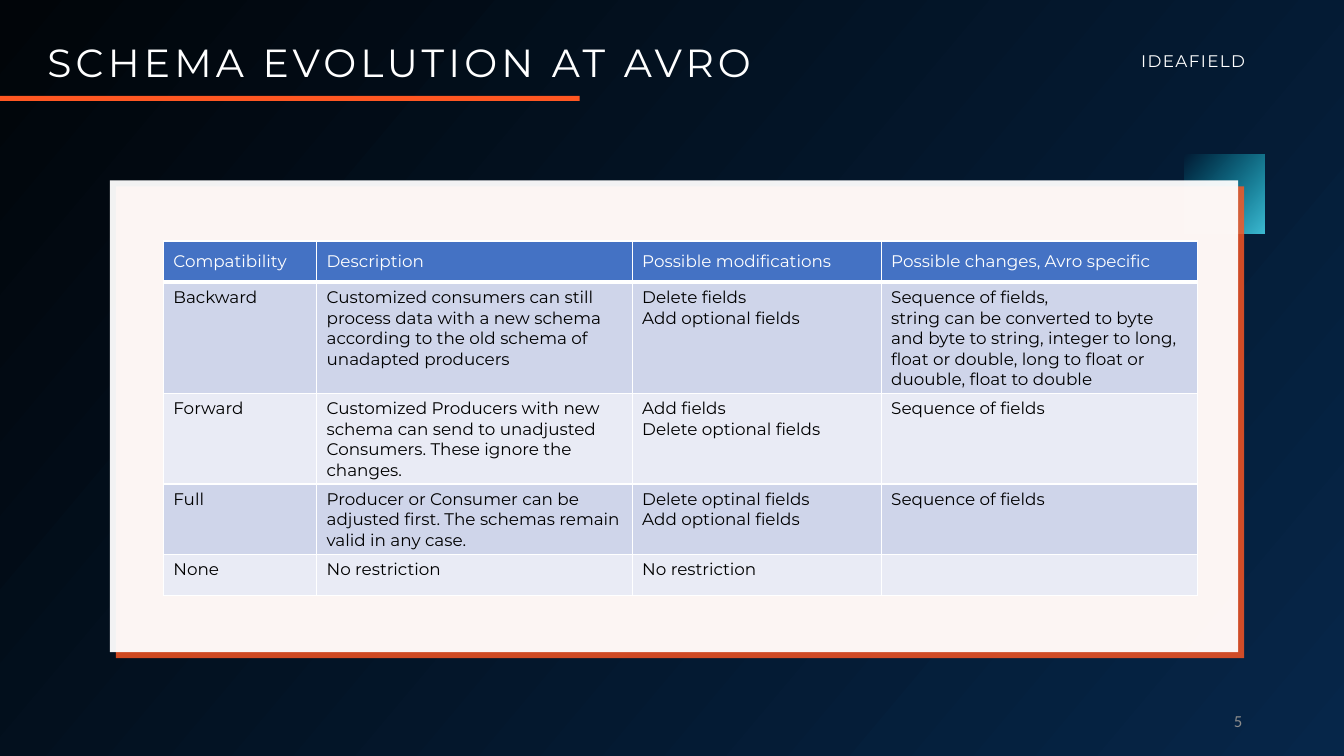
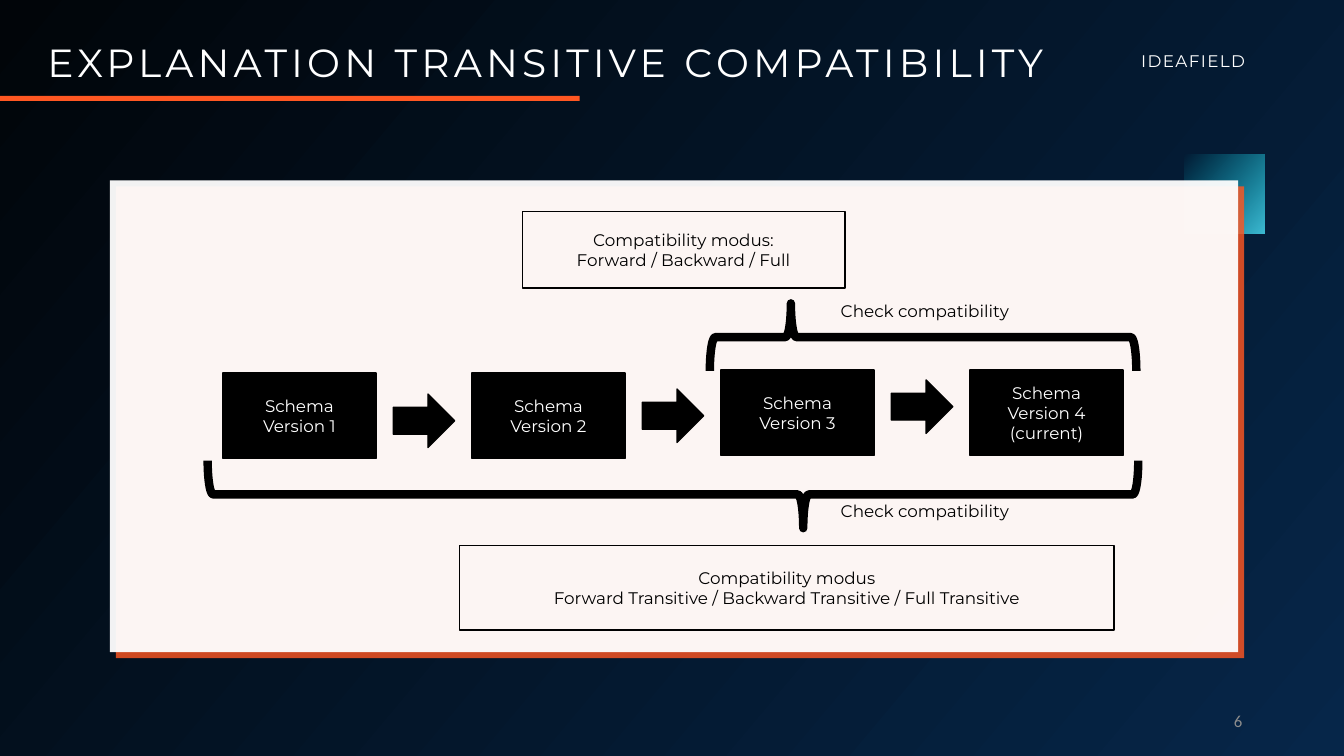
import lxml.etree
import pptx
import pptx.dml.color
import pptx.enum.shapes
import pptx.enum.text
import pptx.oxml.ns
import pptx.util

Inches = pptx.util.Inches
Pt = pptx.util.Pt
qn = pptx.oxml.ns.qn
SHAPE = pptx.enum.shapes.MSO_SHAPE
ALIGN = pptx.enum.text.PP_ALIGN
ANCHOR = pptx.enum.text.MSO_ANCHOR


def rgb(color):
    return pptx.dml.color.RGBColor.from_string(color)


def add_xml(parent, tag, **attrs):
    el = lxml.etree.SubElement(parent, qn(tag))
    for name, value in attrs.items():
        el.set(name, str(value))
    return el


def set_gradient(fill, colors, angle):
    """Fill with two colours; the angle runs counter-clockwise in degrees."""
    fill.gradient()
    fill.gradient_angle = angle
    for stop, color in zip(fill.gradient_stops, colors):
        stop.color.rgb = rgb(color)


def set_alpha(sp, percent):
    """Set the opacity of the last fill colour of a shape."""
    color = sp._element.spPr.findall(".//" + qn("a:srgbClr"))[-1]
    add_xml(color, "a:alpha", val=percent * 1000)


class Deck:
    FONT = "Montserrat"
    WHITE, BLACK, ORANGE = "FFFFFF", "000000", "FF5722"
    HEADER, BANDS = "4472C4", ("CFD5EA", "E9EBF5")
    BRAND = "IDEAFIELD"

    def __init__(self, first_number):
        self.prs = pptx.Presentation()
        self.prs.slide_width, self.prs.slide_height = Inches(13.33), Inches(7.5)
        set_gradient(self.prs.slide_master.background.fill, ("010509", "062649"), 320)
        self.number = first_number
        self.slide = None

    def add_slide(self, title):
        self.slide = self.prs.slides.add_slide(self.prs.slide_layouts[5])
        self.corner()
        self.card()
        tf = self.text(self.BRAND, 11.22, 0.25, 1.45, 0.44, self.WHITE, spacing=1)
        tf.paragraphs[0].line_spacing = 2.0
        self.shape(SHAPE.RECTANGLE, 0, 0.95, 5.75, 0.05, fill=self.ORANGE)
        self.title(title)
        tf = self.text(str(self.number), 9.42, 6.95, 3, 0.4, "8C8C8C",
                       align=ALIGN.RIGHT, font="Calibri")
        tf.vertical_anchor = ANCHOR.MIDDLE
        self.number += 1

    def style(self, tf, color, size=12, align=ALIGN.LEFT, font=FONT, spacing=0):
        for p in tf.paragraphs:
            p.alignment = align
            for r in p.runs:
                r.font.name, r.font.size = font, Pt(size)
                r.font.color.rgb = rgb(color)
                if spacing:
                    r.font._element.set("spc", str(spacing * 100))

    def title(self, text):
        sp = self.slide.shapes.title
        sp.left, sp.top, sp.width, sp.height = map(Inches, (0.37, 0.33, 10.75, 0.57))
        tf = sp.text_frame
        tf.text = text
        tf.auto_size = pptx.enum.text.MSO_AUTO_SIZE.NONE
        tf.vertical_anchor = ANCHOR.TOP
        self.style(tf, self.WHITE, size=28, spacing=3)

    def text(self, text, left, top, width, height, color, **style):
        box = self.slide.shapes.add_textbox(*map(Inches, (left, top, width, height)))
        tf = box.text_frame
        tf.word_wrap = True
        tf.text = text
        self.style(tf, color, **style)
        return tf

    def shape(self, kind, left, top, width, height, fill=None, line=None, weight=1):
        sp = self.slide.shapes.add_shape(kind, *map(Inches, (left, top, width, height)))
        sp.shadow.inherit = False
        if fill:
            sp.fill.solid()
            sp.fill.fore_color.rgb = rgb(fill)
        else:
            sp.fill.background()
        if line:
            sp.line.color.rgb = rgb(line)
            sp.line.width = Pt(weight)
        else:
            sp.line.fill.background()
        return sp

    def corner(self):
        sp = self.shape(SHAPE.RECTANGLE, 11.75, 1.53, 0.79, 0.79)
        set_gradient(sp.fill, ("3EBCD4", "00BCD4"), 130)
        set_alpha(sp, 0)
        sp.rotation = 270
        sp._element.spPr.find(qn("a:xfrm")).set("flipH", "1")

    def card(self):
        sp = self.shape(SHAPE.RECTANGLE, 1.09, 1.79, 11.19, 4.68, fill=self.WHITE)
        set_alpha(sp, 95)
        effects = sp._element.spPr.find(qn("a:effectLst"))
        shadow = add_xml(effects, "a:outerShdw", blurRad=0, dist=Pt(6),
                         dir=45 * 60000, algn="tl", rotWithShape=0)
        color = add_xml(shadow, "a:srgbClr", val=self.ORANGE)
        add_xml(color, "a:alpha", val=85000)

    def box(self, text, left, top, width, height, fill=None):
        sp = self.shape(SHAPE.RECTANGLE, left, top, width, height, fill, self.BLACK)
        tf = sp.text_frame
        tf.word_wrap = True
        tf.text = text
        tf.vertical_anchor = ANCHOR.MIDDLE
        self.style(tf, self.WHITE if fill else self.BLACK, align=ALIGN.CENTER)

    def arrow(self, left, top):
        self.shape(SHAPE.RIGHT_ARROW, left, top, 0.61, 0.53, self.BLACK, self.BLACK)

    def brace(self, left, top, height, rotation, point):
        """Add a turned brace; point is where its tip sits, from 0 to 1."""
        sp = self.shape(SHAPE.LEFT_BRACE, left, top, 0.67, height,
                        line=self.BLACK, weight=6)
        sp.rotation = rotation
        sp.adjustments[0], sp.adjustments[1] = 0.08, point

    def cell_borders(self, cell, bottom):
        tcPr = cell._tc.get_or_add_tcPr()
        sides = (("L", 1), ("R", 1), ("T", 1), ("B", bottom))
        for i, (side, weight) in enumerate(sides):
            ln = add_xml(tcPr, "a:ln" + side, w=Pt(weight))
            add_xml(add_xml(ln, "a:solidFill"), "a:srgbClr", val=self.WHITE)
            tcPr.insert(i, ln)

    def table(self, rows, left, top, widths, heights):
        frame = self.slide.shapes.add_table(
            len(rows), len(widths), Inches(left), Inches(top),
            Inches(sum(widths)), Inches(sum(heights)))
        table = frame.table
        for column, width in zip(table.columns, widths):
            column.width = Inches(width)
        for i, (row, height) in enumerate(zip(rows, heights)):
            table.rows[i].height = Inches(height)
            header = i == 0
            for j, text in enumerate(row):
                cell = table.cell(i, j)
                cell.text_frame.text = text
                cell.vertical_anchor = ANCHOR.MIDDLE if header else ANCHOR.TOP
                self.style(cell.text_frame, self.WHITE if header else self.BLACK)
                cell.fill.solid()
                cell.fill.fore_color.rgb = rgb(
                    self.HEADER if header else self.BANDS[(i - 1) % 2])
                self.cell_borders(cell, bottom=3 if header else 1)


COMPATIBILITY = [
    ("Compatibility", "Description", "Possible modifications",
     "Possible changes, Avro specific"),
    ("Backward",
     "Customized consumers can still process data with a new schema "
     "according to the old schema of unadapted producers",
     "Delete fields\nAdd optional fields",
     "Sequence of fields,\nstring can be converted to byte and byte to string, "
     "integer to long, float or double, long to float or duouble, float to double"),
    ("Forward",
     "Customized Producers with new schema can send to unadjusted Consumers. "
     "These ignore the changes.",
     "Add fields\nDelete optional fields", "Sequence of fields"),
    ("Full",
     "Producer or Consumer can be adjusted first. "
     "The schemas remain valid in any case.",
     "Delete optinal fields\nAdd optional fields", "Sequence of fields"),
    ("None", "No restriction", "No restriction", ""),
]


def evolution_slide(deck):
    deck.add_slide("SCHEMA EVOLUTION AT AVRO")
    deck.table(COMPATIBILITY, 1.62, 2.39, widths=(1.52, 3.13, 2.47, 3.14),
               heights=(0.41, 1.1, 0.9, 0.7, 0.41))


def transitive_slide(deck):
    deck.add_slide("EXPLANATION TRANSITIVE COMPATIBILITY")
    first, pitch = 2.21, 2.47
    for i, top in enumerate((3.7, 3.7, 3.67, 3.67)):
        suffix = "\n(current)" if i == 3 else ""
        deck.box(f"Schema Version {i + 1}{suffix}", first + i * pitch, top,
                 1.52, 0.85, fill=deck.BLACK)
    deck.box("Compatibility modus:\nForward / Backward / Full", 5.18, 2.1, 3.2, 0.76)
    deck.box("Compatibility modus\n"
             "Forward Transitive / Backward Transitive / Full Transitive",
             4.56, 5.41, 6.49, 0.84)
    deck.brace(8.82, 1.23, 4.23, rotation=90, point=0.81)
    deck.brace(6.34, 0.29, 9.23, rotation=270, point=0.64)
    for top in (2.93, 4.92):
        deck.text("Check compatibility", 8.24, top, 2.46, 0.3, deck.BLACK)
    for i, top in enumerate((3.91, 3.86, 3.77)):
        deck.arrow(first + 1.69 + i * pitch, top)


def main():
    deck = Deck(first_number=5)
    evolution_slide(deck)
    transitive_slide(deck)
    deck.prs.save("out.pptx")


if __name__ == "__main__":
    main()
